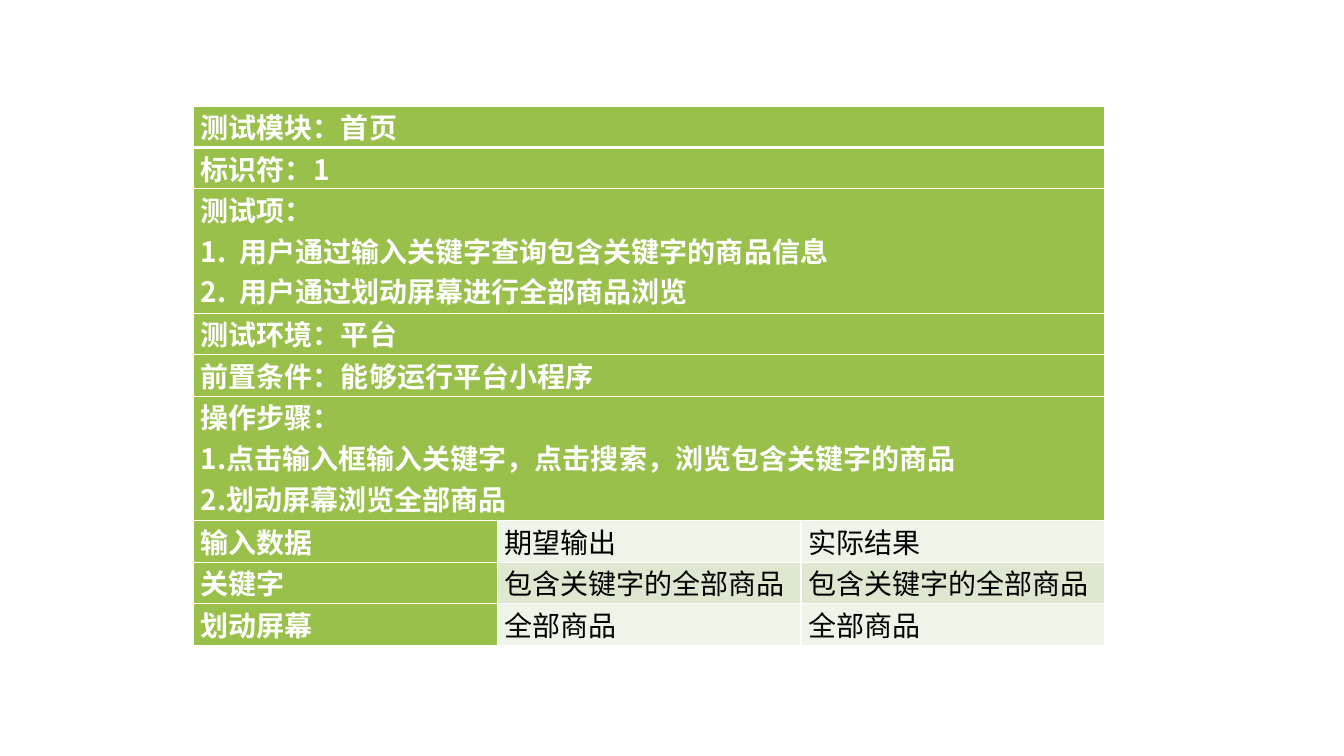
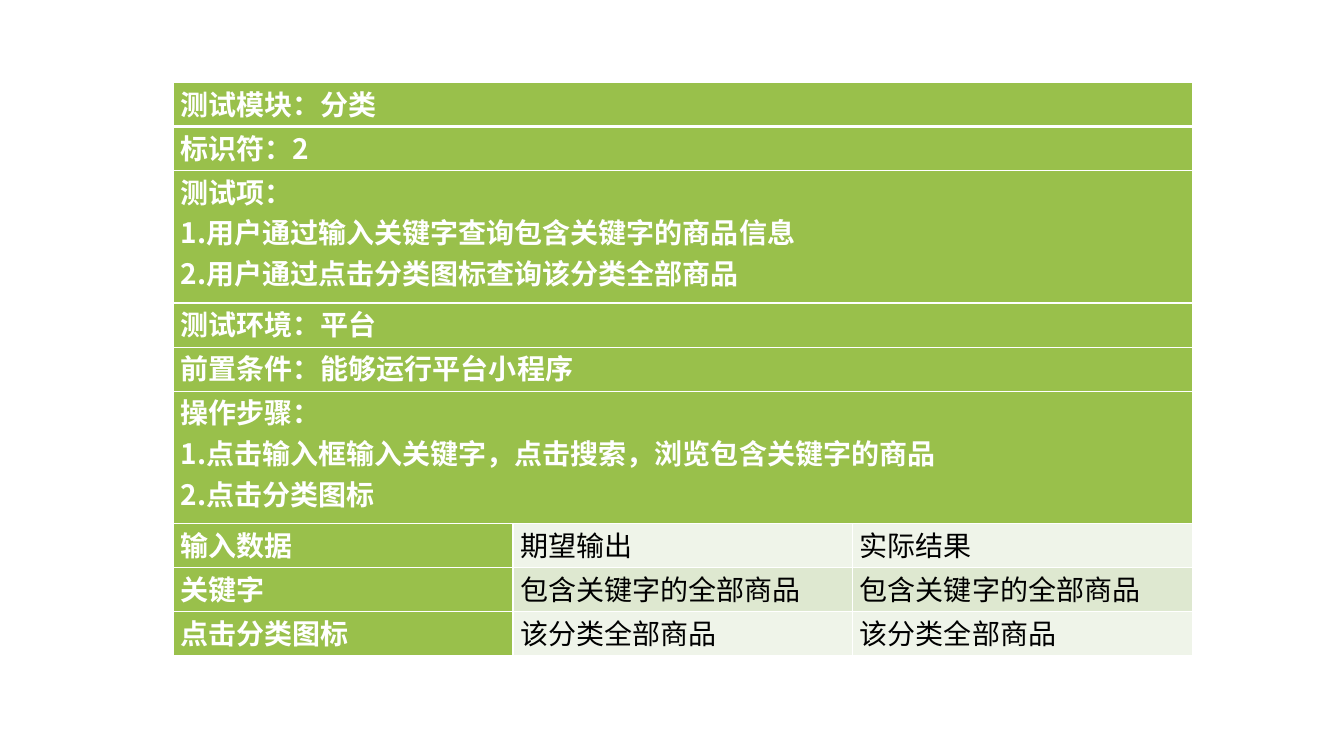
from dataclasses import dataclass

import pptx
import pptx.enum.text
import pptx.oxml.ns
import pptx.presentation
import pptx.table
import pptx.text.text
import pptx.util
from lxml import etree
from pptx.dml.color import RGBColor
from pptx.util import Cm

COLORS = {
    "label": "99C04B",
    "light": "EFF4E9",
    "shade": "DEE8D0",
    "line": "FFFFFF",
    "label_text": "FFFFFF",
    "value_text": "000000",
}
FONT = "Noto Sans CJK SC"
TEXT_SIZE = pptx.util.Pt(20)
SIDE_MARGIN = Cm(0.18)
LIST_INDENT = Cm(0.97)
COLUMNS = 3
LINE_WIDTH, HEADER_LINE_WIDTH = 1, 3
VALUE_HEADER = ("输入数据", "期望输出", "实际结果")


@dataclass
class TestCase:
    module: str
    number: int
    items: tuple[str, ...]
    steps: tuple[str, ...]
    results: tuple[tuple[str, str, str], ...]
    left: float
    top: float
    width: float
    height: float
    auto_numbered: bool = False


@dataclass
class Line:
    text: str
    auto_numbered: bool = False


CASES = (
    TestCase(
        module="首页",
        number=1,
        items=("用户通过输入关键字查询包含关键字的商品信息", "用户通过划动屏幕进行全部商品浏览"),
        steps=("点击输入框输入关键字，点击搜索，浏览包含关键字的商品", "划动屏幕浏览全部商品"),
        results=(
            ("关键字", "包含关键字的全部商品", "包含关键字的全部商品"),
            ("划动屏幕", "全部商品", "全部商品"),
        ),
        left=4.88, top=2.67, width=22.96, height=13.59,
        auto_numbered=True,
    ),
    TestCase(
        module="分类",
        number=2,
        items=("用户通过输入关键字查询包含关键字的商品信息", "用户通过点击分类图标查询该分类全部商品"),
        steps=("点击输入框输入关键字，点击搜索，浏览包含关键字的商品", "点击分类图标"),
        results=(
            ("关键字", "包含关键字的全部商品", "包含关键字的全部商品"),
            ("点击分类图标", "该分类全部商品", "该分类全部商品"),
        ),
        left=4.37, top=2.08, width=25.68, height=14.45,
    ),
)


def add_xml(parent: etree._Element, tag: str, **attributes: str) -> etree._Element:
    return etree.SubElement(parent, pptx.oxml.ns.qn(tag), attributes)


def numbered(texts: tuple[str, ...], auto: bool = False) -> list[Line]:
    """Number the texts, as list paragraphs or with typed numbers."""
    if auto:
        return [Line(text, True) for text in texts]
    return [Line(f"{index}.{text}") for index, text in enumerate(texts, 1)]


def label_rows(case: TestCase) -> list[list[Line]]:
    return [
        [Line(f"测试模块：{case.module}")],
        [Line(f"标识符：{case.number}")],
        [Line("测试项："), *numbered(case.items, case.auto_numbered)],
        [Line("测试环境：平台")],
        [Line("前置条件：能够运行平台小程序")],
        [Line("操作步骤："), *numbered(case.steps)],
    ]


def style_cell(cell: pptx.table._Cell, fill: str, top: int, bottom: int) -> None:
    """Set margins, borders (widths in points) and fill; borders precede the fill."""
    cell.margin_left = cell.margin_right = SIDE_MARGIN
    cell.margin_top = cell.margin_bottom = 0
    properties = cell._tc.get_or_add_tcPr()
    widths = {"L": LINE_WIDTH, "R": LINE_WIDTH, "T": top, "B": bottom}
    for side, width in widths.items():
        border = add_xml(properties, f"a:ln{side}", w=str(pptx.util.Pt(width)))
        solid = add_xml(border, "a:solidFill")
        add_xml(solid, "a:srgbClr", val=COLORS["line"])
    cell.fill.solid()
    cell.fill.fore_color.rgb = RGBColor.from_string(COLORS[fill])


def write_line(para: pptx.text.text._Paragraph, line: Line, is_label: bool) -> None:
    para.alignment = pptx.enum.text.PP_ALIGN.JUSTIFY
    if line.auto_numbered:
        properties = para._p.get_or_add_pPr()
        properties.set("marL", str(LIST_INDENT))
        properties.set("indent", str(-LIST_INDENT))
        add_xml(properties, "a:buAutoNum", type="arabicPeriod")
    span = para.add_run()
    span.text = line.text
    span.font.size = TEXT_SIZE
    span.font.bold = is_label
    color = COLORS["label_text" if is_label else "value_text"]
    span.font.color.rgb = RGBColor.from_string(color)
    span.font.name = FONT
    add_xml(span._r.get_or_add_rPr(), "a:ea", typeface=FONT)


def write_cell(cell: pptx.table._Cell, lines: list[Line], is_label: bool) -> None:
    frame = cell.text_frame
    for index, line in enumerate(lines):
        para = frame.add_paragraph() if index else frame.paragraphs[0]
        write_line(para, line, is_label)


def add_case_page(deck: pptx.presentation.Presentation, case: TestCase) -> None:
    page = deck.slides.add_slide(deck.slide_layouts[6])
    labels = label_rows(case)
    values = [VALUE_HEADER, *case.results]
    line_counts = [len(lines) for lines in labels] + [1] * len(values)
    table = page.shapes.add_table(
        len(line_counts), COLUMNS,
        Cm(case.left), Cm(case.top), Cm(case.width), Cm(case.height),
    ).table
    table.first_row = table.horz_banding = False

    line_height = case.height / sum(line_counts)
    for row, count in enumerate(line_counts):
        table.rows[row].height = Cm(line_height * count)
        top = HEADER_LINE_WIDTH if row == 1 else LINE_WIDTH
        bottom = HEADER_LINE_WIDTH if row == 0 else LINE_WIDTH
        value_fill = "shade" if row % 2 else "light"
        for column in range(COLUMNS):
            is_label = row < len(labels) or column == 0
            fill = "label" if is_label else value_fill
            style_cell(table.cell(row, column), fill, top, bottom)

    for row, lines in enumerate(labels):
        table.cell(row, 0).merge(table.cell(row, COLUMNS - 1))
        write_cell(table.cell(row, 0), lines, True)
    for row, texts in enumerate(values, len(labels)):
        for column, text in enumerate(texts):
            write_cell(table.cell(row, column), [Line(text)], column == 0)


def main() -> None:
    deck = pptx.Presentation()
    deck.slide_width, deck.slide_height = Cm(33.87), Cm(19.05)
    for case in CASES:
        add_case_page(deck, case)
    deck.save("out.pptx")


if __name__ == "__main__":
    main()
